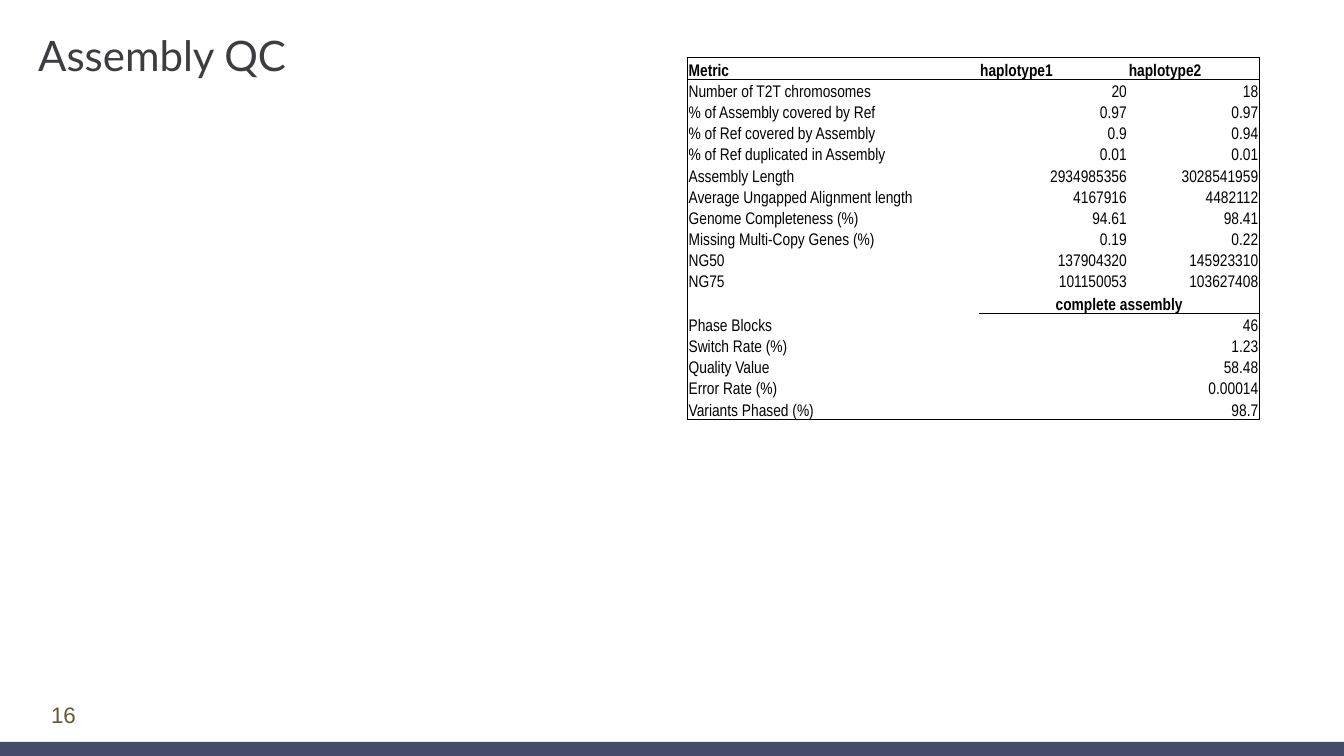
import pptx
import pptx.util
import pptx.dml.color
import pptx.enum.shapes
import pptx.enum.text
import pptx.oxml.ns
from lxml import etree

WIDE, HIGH = 13.33, 7.5
ALIGN = pptx.enum.text.PP_ALIGN
ANCHOR = pptx.enum.text.MSO_ANCHOR
inch = pptx.util.Inches
qn = pptx.oxml.ns.qn

ROWS = [
    ("Metric", "haplotype1", "haplotype2"),
    ("Number of T2T chromosomes", "20", "18"),
    ("% of Assembly covered by Ref", "0.97", "0.97"),
    ("% of Ref covered by Assembly", "0.9", "0.94"),
    ("% of Ref duplicated in Assembly", "0.01", "0.01"),
    ("Assembly Length", "2934985356", "3028541959"),
    ("Average Ungapped Alignment length", "4167916", "4482112"),
    ("Genome Completeness (%)", "94.61", "98.41"),
    ("Missing Multi-Copy Genes (%)", "0.19", "0.22"),
    ("NG50", "137904320", "145923310"),
    ("NG75", "101150053", "103627408"),
    ("", "complete assembly"),
    ("Phase Blocks", "46"),
    ("Switch Rate (%)", "1.23"),
    ("Quality Value", "58.48"),
    ("Error Rate (%)", "0.00014"),
    ("Variants Phased (%)", "98.7"),
]
SPLIT = 11  # row that heads the part for the complete assembly
SHARES = (0.51, 0.26, 0.23)


def color(code):
    return pptx.dml.color.RGBColor.from_string(code)


def style(part, size, face, code, bold=False):
    for run in part.runs:
        run.font.size = pptx.util.Pt(size)
        run.font.name = face
        run.font.color.rgb = color(code)
        run.font.bold = bold


def label(slide, box, text, size, face, code, align):
    frame = slide.shapes.add_textbox(*map(inch, box)).text_frame
    frame.word_wrap = True
    frame.vertical_anchor = ANCHOR.MIDDLE
    part = frame.paragraphs[0]
    part.text = text
    part.alignment = align
    part.line_spacing = 0.9
    style(part, size, face, code)


def footer(slide, box):
    """Band along the foot of the slide, with the page number above it."""
    left, top, wide, high = box
    band = slide.shapes.add_shape(
        pptx.enum.shapes.MSO_SHAPE.RECTANGLE, *map(inch, box))
    band.shadow.inherit = False
    band.fill.solid()
    band.fill.fore_color.rgb = color("454B6A")
    band.line.fill.background()
    label(slide, (left + 0.28, top - 0.45, 0.7, 0.4), "16", 16, "Arial",
          "655832", ALIGN.CENTER)


def edges(cell, row, col):
    """Frame the table, and rule off its two heads."""
    merged = row >= SPLIT and col > 0
    drawn = {
        "L": col == 0,
        "R": col == 2 or merged,
        "T": row in (0, 1) or (row == SPLIT + 1 and merged),
        "B": row in (0, len(ROWS) - 1) or (row == SPLIT and merged),
    }
    props = cell._tc.get_or_add_tcPr()
    for side, shown in drawn.items():
        line = etree.SubElement(props, qn("a:ln" + side), w="6350")
        if shown:
            fill = etree.SubElement(line, qn("a:solidFill"))
            etree.SubElement(fill, qn("a:srgbClr"), val="000000")
        else:
            etree.SubElement(line, qn("a:noFill"))


def fill_cell(cell, row, col, text):
    edges(cell, row, col)
    cell.fill.background()
    cell.vertical_anchor = ANCHOR.BOTTOM
    cell.margin_left = cell.margin_right = cell.margin_top = inch(0.01)
    cell.margin_bottom = 0
    part = cell.text_frame.paragraphs[0]
    if not text:
        etree.SubElement(part._p, qn("a:endParaRPr"), sz="1200")
        return
    part.text = text
    if row == SPLIT:
        part.alignment = ALIGN.CENTER
    else:
        part.alignment = ALIGN.RIGHT if row and col else ALIGN.LEFT
    style(part, 12, "Arial Narrow", "000000", row in (0, SPLIT))


def metrics(slide, box):
    grid = slide.shapes.add_table(len(ROWS), 3, *map(inch, box)).table
    grid.first_row = grid.horz_banding = False
    for col, share in zip(grid.columns, SHARES):
        col.width = inch(box[2] * share)
    for row, texts in enumerate(ROWS):
        grid.rows[row].height = inch({0: 0.22, SPLIT: 0.22, SPLIT + 1: 0.18}.get(row, 0.21))
        if row >= SPLIT:
            grid.cell(row, 1).merge(grid.cell(row, 2))
        for col in range(3):
            text = texts[col] if col < len(texts) else ""
            fill_cell(grid.cell(row, col), row, col, text)


def main():
    deck = pptx.Presentation()
    deck.slide_width, deck.slide_height = inch(WIDE), inch(HIGH)
    slide = deck.slides.add_slide(deck.slide_layouts[6])
    footer(slide, (0, HIGH - 0.14, WIDE, 0.14))
    label(slide, (0.28, 0, 12.73, 1.14), "Assembly QC", 30, "Lato",
          "3C3C41", ALIGN.LEFT)
    metrics(slide, (6.82, 0.57, 5.67, 3.56))
    deck.save("out.pptx")


if __name__ == "__main__":
    main()
